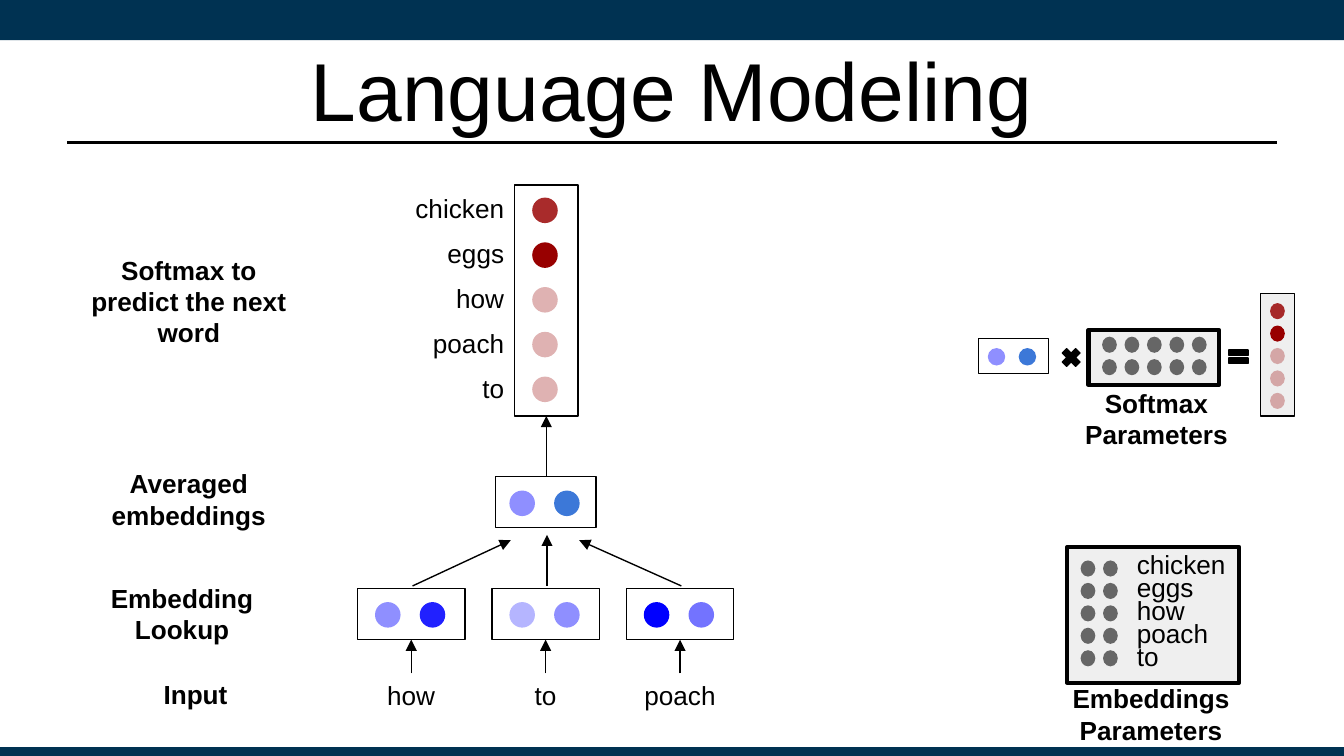
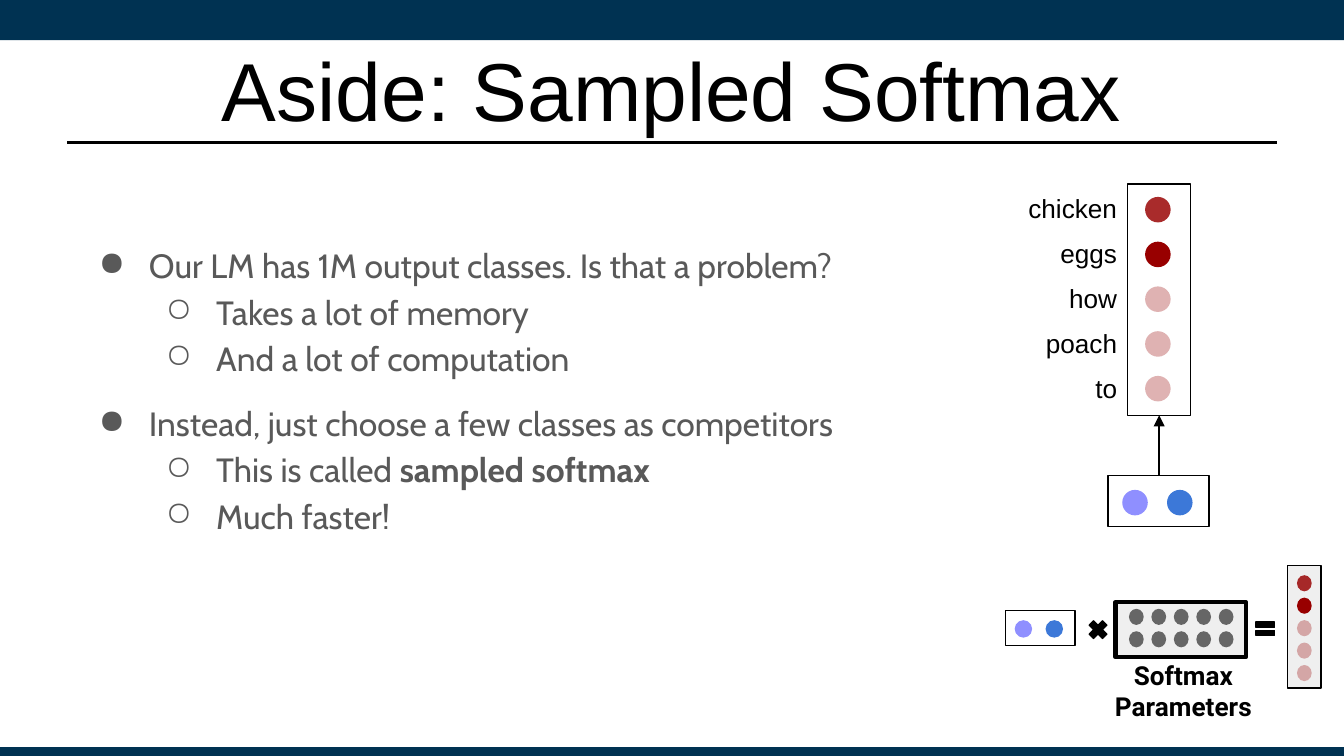
from lxml.etree import SubElement
from pptx import Presentation
from pptx.dml.color import RGBColor
from pptx.enum.shapes import MSO_CONNECTOR, MSO_SHAPE
from pptx.enum.text import MSO_ANCHOR, PP_ALIGN
from pptx.oxml.ns import qn
from pptx.util import Inches, Pt

COLUMNS = 100
WIDTH = Inches(10)
CELL = WIDTH // COLUMNS
HEIGHT = WIDTH * 9 // 16

NAVY = RGBColor(0x00, 0x32, 0x52)
BLACK = RGBColor(0x00, 0x00, 0x00)
WHITE = RGBColor(0xFF, 0xFF, 0xFF)
PALE = RGBColor(0xEF, 0xEF, 0xEF)
GREY = RGBColor(0x66, 0x66, 0x66)
INK = RGBColor(0x59, 0x59, 0x59)
BLUE = RGBColor(0x00, 0x00, 0xFF)
SKY = RGBColor(0x3C, 0x78, 0xD8)
RED = RGBColor(0x98, 0x00, 0x00)

WORDS = ["chicken", "eggs", "how", "poach", "to"]
SCORES = [(RED, 83), (RED, 100), (RED, 30), (RED, 30), (RED, 30)]
AVERAGE = [(BLUE, 44), (SKY, 100)]
PARAMETER = (GREY, 100)

PITCH = 3.33
SMALL_PITCH = 1.67
DOT = (1.9, 1.9)
SMALL_DOT = (1.1, 1.2)


def cells(*lengths):
    return [round(length * CELL) for length in lengths]


def add_figure(shapes, kind, area, fill, line_width=0, opacity=100):
    figure = shapes.add_shape(kind, *cells(*area))
    figure.shadow.inherit = False
    figure.fill.solid()
    figure.fill.fore_color.rgb = fill
    if opacity < 100:
        colour = figure._element.spPr.find(qn("a:solidFill"))[0]
        SubElement(colour, qn("a:alpha"), val=str(opacity * 1000))
    if line_width:
        figure.line.color.rgb = BLACK
        figure.line.width = Pt(line_width)
    else:
        figure.line.fill.background()
    return figure


def add_box(shapes, area, fill=WHITE, line_width=0.75):
    return add_figure(shapes, MSO_SHAPE.RECTANGLE, area, fill, line_width)


def add_dots(shapes, left, top, rows, pitch, size):
    for row, dots in enumerate(rows):
        for column, (colour, opacity) in enumerate(dots):
            area = (left + column * pitch, top + row * pitch, *size)
            add_figure(shapes, MSO_SHAPE.OVAL, area, colour, opacity=opacity)


def add_line(shapes, start, end, width=0.75, arrow=True):
    line = shapes.add_connector(MSO_CONNECTOR.STRAIGHT, *cells(*start, *end))
    line.line.color.rgb = BLACK
    line.line.width = Pt(width)
    if arrow:
        SubElement(line.line._ln, qn("a:tailEnd"), type="triangle")
    SubElement(line._element.spPr, qn("a:effectLst"))


def add_frame(shapes, area, anchor=MSO_ANCHOR.TOP, padding=1):
    frame = shapes.add_textbox(*cells(*area)).text_frame
    frame.word_wrap = True
    frame.vertical_anchor = anchor
    frame.margin_left = frame.margin_right = CELL
    frame.margin_top = frame.margin_bottom = cells(padding)[0]
    return frame


def set_font(para, size, name="Arial", colour=BLACK):
    para.font.size = Pt(size)
    para.font.name = name
    para.font.color.rgb = colour


def add_text(shapes, area, text, align=PP_ALIGN.CENTER, anchor=MSO_ANCHOR.TOP,
             bold=False, size=14, font="Arial", padding=1):
    frame = add_frame(shapes, area, anchor, padding)
    frame.text = text
    for para in frame.paragraphs:
        para.alignment = align
        set_font(para, size, font)
        para.font.bold = bold


def add_words(shapes, left, top, pitch, height, align):
    for row, word in enumerate(WORDS):
        area = (left, top + row * pitch, 9.2, height)
        add_text(shapes, area, word, align, MSO_ANCHOR.MIDDLE)


def add_page(deck, title):
    page = deck.slides.add_slide(deck.slide_layouts[6])
    add_box(page.shapes, (0, 0, COLUMNS, 3), NAVY, 0)
    add_box(page.shapes, (0, 55.6, COLUMNS, 0.65), NAVY, 0)
    add_line(page.shapes, (5, 10.6), (95, 10.6), 1.25, arrow=False)
    add_text(page.shapes, (5, 1.9, 90, 9.4), title,
             anchor=MSO_ANCHOR.MIDDLE, size=44, padding=0.5)
    return page


def add_group(page):
    return page.shapes.add_group_shape().shapes


def add_softmax_tower(page, left, top):
    tower = add_group(page)
    add_box(tower, (left, top, 4.7, 17.2))
    add_dots(tower, left + 1.3, top + 0.95, [[score] for score in SCORES], PITCH, DOT)
    add_words(tower, left - 9, top - 0.65, 3.35, 4.8, PP_ALIGN.RIGHT)
    middle = left + 2.35
    add_line(page.shapes, (middle, top + 21.7), (middle, top + 17.2))
    pair = add_group(page)
    add_box(pair, (left - 1.45, top + 21.7, 7.5, 3.8))
    add_dots(pair, left - 0.4, top + 22.75, [AVERAGE], PITCH, DOT)


def add_softmax_equation(page, left, top, font):
    pair = add_group(page)
    add_box(pair, (left, top, 5.2, 2.6))
    add_dots(pair, left + 0.7, top + 0.7, [AVERAGE], 2.3, (1.3, 1.3))

    times = add_figure(page.shapes, MSO_SHAPE.MATH_MULTIPLY,
                       (left + 5.95, top + 0.45, 1.9, 1.9), BLACK, 0.75)
    times.adjustments[0] = 0.235

    matrix = add_group(page)
    add_box(matrix, (left + 8.2, top - 0.65, 9.7, 4.1), PALE, 2.25)
    add_dots(matrix, left + 9.2, top - 0.15, [[PARAMETER] * 5] * 2, SMALL_PITCH, SMALL_DOT)
    add_text(matrix, (left + 5.9, top + 2.6, 14.7, 6.3), "Softmax Parameters",
             bold=True, font=font)

    equals = add_figure(page.shapes, MSO_SHAPE.MATH_EQUAL,
                        (left + 18.4, top + 0.5, 1.9, 1.7), BLACK, 0.75)
    equals.adjustments[0] = 0.235
    equals.adjustments[1] = 0.118

    result = add_group(page)
    add_box(result, (left + 21, top - 3.35, 2.5, 9.1), PALE)
    add_dots(result, left + 21.7, top - 2.65, [[score] for score in SCORES],
             SMALL_PITCH, SMALL_DOT)


def add_embedding_table(page, left, top):
    table = add_group(page)
    add_box(table, (left, top, 12.8, 10.1), PALE, 2.25)
    add_dots(table, left + 1, top + 1, [[PARAMETER] * 2] * 5, SMALL_PITCH, SMALL_DOT)
    add_words(table, left + 4.2, top - 0.1, 1.72, 2.7, PP_ALIGN.LEFT)
    add_text(table, (left - 5.8, top + 9.1, 24.1, 4.8), "Embeddings\nParameters", bold=True)


def add_input_word(page, left, word, opacities, arrow_end):
    middle = left + 4
    add_text(page.shapes, (left - 1.5, 50.1, 11, 3.8), word, anchor=MSO_ANCHOR.BOTTOM)
    add_box(page.shapes, (left, 43.8, 8, 3.8))
    dots = [(BLUE, opacity) for opacity in opacities]
    add_dots(page.shapes, left + 1.3, 44.8, [dots], PITCH, DOT)
    add_line(page.shapes, (middle, 50.1), (middle, 47.6))
    add_line(page.shapes, (middle + 0.1, 43.6), arrow_end)


def add_bullet(frame, index, level, parts):
    para = frame.paragraphs[0] if index == 0 else frame.add_paragraph()
    para.level = level
    para.line_spacing = 1.15
    if index and level == 0:
        para.space_before = Pt(10)
    properties = para._p.get_or_add_pPr()
    properties.set("marL", str(5 * CELL * (level + 1)))
    properties.set("indent", str(cells(-3.75)[0]))
    colour = SubElement(properties, qn("a:buClr"))
    SubElement(colour, qn("a:srgbClr"), val=str(INK))
    SubElement(properties, qn("a:buChar"), char="●○"[level])
    set_font(para, 18, "Cabin", INK)
    for text, bold in parts:
        span = para.add_run()
        span.text = text
        if bold:
            span.font.bold = True


def build_language_modeling(deck):
    page = add_page(deck, "Language Modeling")
    for left, top, width, height, label in [
        (5, 17.9, 18.1, 11.2, "Softmax to predict the next word"),
        (5, 33.8, 18.1, 6.3, "Averaged embeddings"),
        (5, 42.3, 17.1, 6.3, "Embedding Lookup"),
        (6, 49.5, 17.1, 6.3, "Input"),
    ]:
        add_text(page.shapes, (left, top, width, height), label, bold=True)
    inputs = [
        ("how", (44, 87), (38, 40.2)),
        ("to", (29, 44), (40.7, 39.8)),
        ("poach", (100, 55), (43.1, 40.2)),
    ]
    for column, (word, opacities, arrow_end) in enumerate(inputs):
        add_input_word(page, 26.6 + 10 * column, word, opacities, arrow_end)
    add_softmax_tower(page, 38.3, 13.75)
    add_softmax_equation(page, 72.8, 25.2, "Arial")
    add_embedding_table(page, 79.4, 40.7)


def build_sampled_softmax(deck):
    page = add_page(deck, "Aside: Sampled Softmax")
    frame = add_frame(page.shapes, (5.1, 16.8, 62.5, 37.4))
    bullets = [
        (0, [("Our LM has 1M output classes. Is that a problem?", False)]),
        (1, [("Takes a lot of memory", False)]),
        (1, [("And a lot of computation", False)]),
        (0, [("Instead, just choose a few classes as competitors", False)]),
        (1, [("This is called ", False), ("sampled softmax", True)]),
        (1, [("Much faster!", False)]),
    ]
    for index, (level, parts) in enumerate(bullets):
        add_bullet(frame, index, level, parts)
    add_softmax_tower(page, 83.9, 13.7)
    add_softmax_equation(page, 74.8, 45.45, "Roboto")


def main():
    deck = Presentation()
    deck.slide_width = WIDTH
    deck.slide_height = HEIGHT
    build_language_modeling(deck)
    build_sampled_softmax(deck)
    deck.save("out.pptx")


if __name__ == "__main__":
    main()
